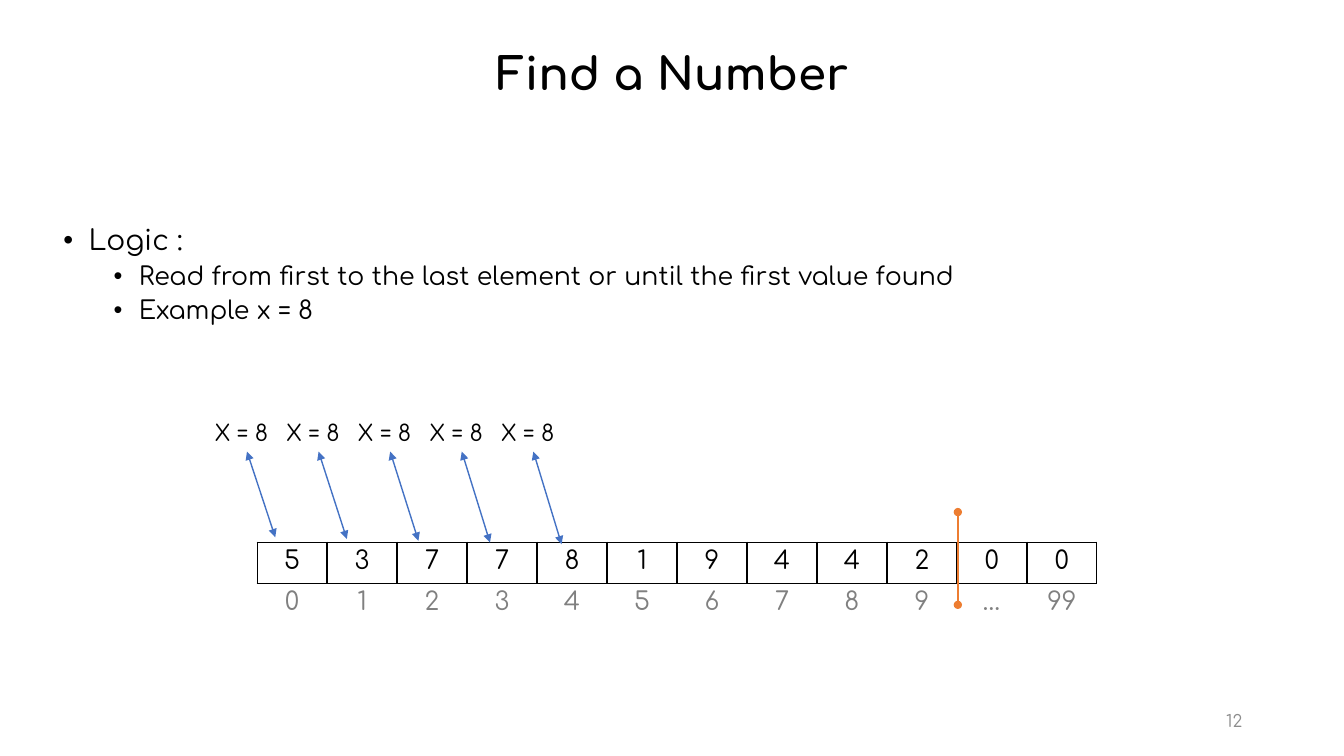
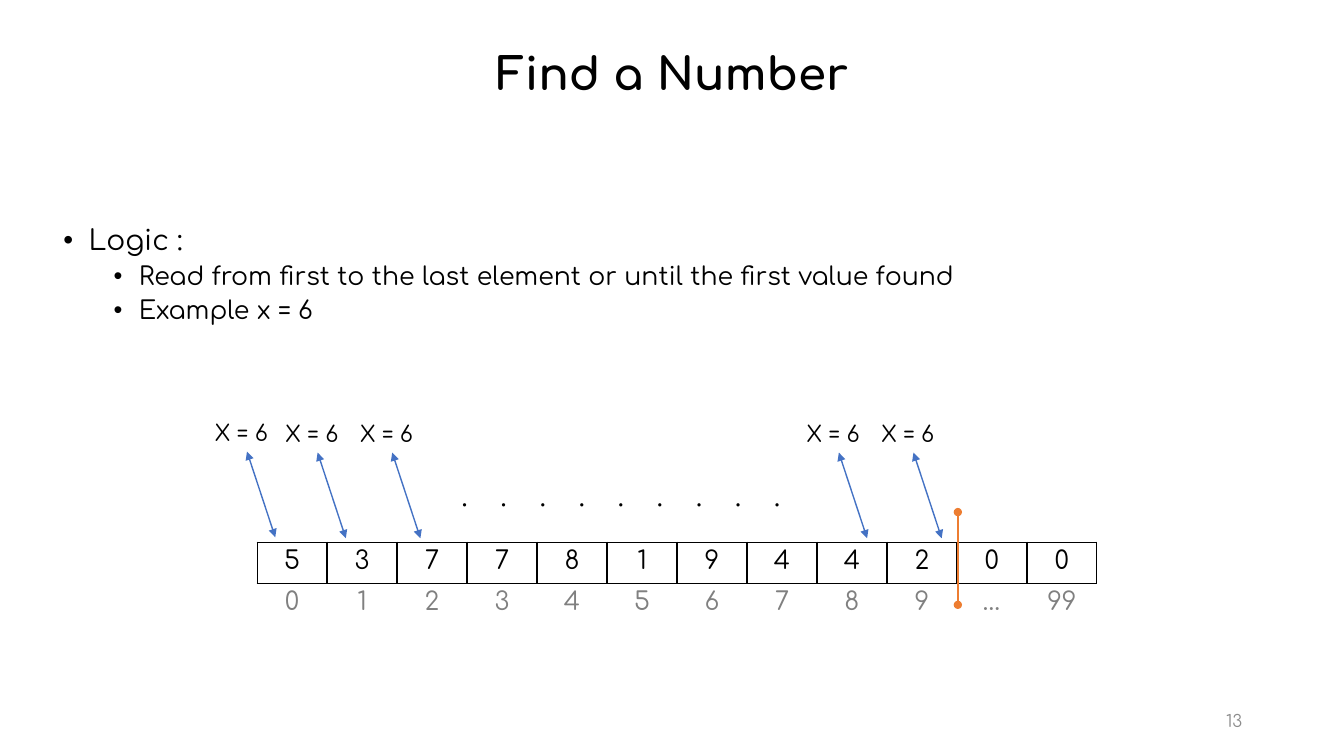
from lxml.etree import SubElement
from pptx import Presentation
from pptx.dml.color import RGBColor
from pptx.enum.shapes import MSO_CONNECTOR
from pptx.enum.text import MSO_ANCHOR, MSO_AUTO_SIZE, PP_ALIGN
from pptx.oxml.ns import qn
from pptx.util import Inches, Pt

FONT = "Comfortaa"
BLACK = RGBColor(0x00, 0x00, 0x00)
GRAY = RGBColor(0x80, 0x80, 0x80)
PAGE_GRAY = RGBColor(0x8C, 0x8C, 0x8C)
BLUE = RGBColor(0x44, 0x72, 0xC4)
ORANGE = RGBColor(0xED, 0x7D, 0x31)

TITLE = "Find a Number"
LOGIC = "Logic :"
STEP = "Read from first to the last element or until the first value found"
VALUES = ["5", "3", "7", "7", "8", "1", "9", "4", "4", "2", "0", "0"]
INDEXES = ["0", "1", "2", "3", "4", "5", "6", "7", "8", "9", "…", "99"]
SLIDES = [
    {"page": "12", "target": 8, "dots": 0,
     "probes": [(2.03 + 0.71 * i, 4.11, 5.33 + 0.07 * i / 4) for i in range(5)]},
    {"page": "13", "target": 6, "dots": 9,
     "probes": [(2.03, 4.11, 5.33)] + [(x, 4.12, 5.34) for x in (2.73, 3.47, 7.9, 8.64)]},
]
TABLE_LEFT, TABLE_TOP, TABLE_WIDTH, ROW_HEIGHT = 2.55, 5.38, 8.33, 0.41
DOT_PITCH = 3.1 / 8


def write(p, text, size=18, color=BLACK, bold=False, align=None,
          line=None, before=None, bullet_at=None, tabs=()):
    p.alignment = align
    if line:
        p.line_spacing = line
    if before:
        p.space_before = Pt(before)
    r = p.add_run()
    r.text = text
    r.font.name, r.font.size, r.font.bold = FONT, Pt(size), bold
    r.font.color.rgb = color
    pPr = p._p.get_or_add_pPr()
    if bullet_at:
        pPr.set("marL", str(Inches(bullet_at)))
        pPr.set("indent", str(Inches(-0.25)))
        SubElement(pPr, qn("a:buFont"), typeface="Arial")
        SubElement(pPr, qn("a:buChar"), char="•")
    if tabs:
        stops = SubElement(pPr, qn("a:tabLst"))
        for x in tabs:
            SubElement(stops, qn("a:tab"), pos=str(Inches(x)), algn="l")


def add_box(s, left, top, width, height, wrap=True, anchor=MSO_ANCHOR.TOP):
    tf = s.shapes.add_textbox(*map(Inches, (left, top, width, height))).text_frame
    tf.word_wrap = wrap
    tf.vertical_anchor = anchor
    if not wrap:
        tf.auto_size = MSO_AUTO_SIZE.SHAPE_TO_FIT_TEXT
    return tf


def add_line(s, start, end, color, ends):
    c = s.shapes.add_connector(MSO_CONNECTOR.STRAIGHT, *map(Inches, start + end))
    c.line.color.rgb = color
    c.line.width = Pt(1)
    ln = c.line._get_or_add_ln()
    for tag in ("a:headEnd", "a:tailEnd"):
        SubElement(ln, qn(tag), type=ends)
    SubElement(c._element.spPr, qn("a:effectLst"))


def set_borders(cell, sides):
    tcPr = cell._tc.get_or_add_tcPr()
    for side in "LRTB":
        ln = SubElement(tcPr, qn("a:ln" + side), w=str(Pt(1)))
        if side in sides:
            fill = SubElement(ln, qn("a:solidFill"))
            SubElement(fill, qn("a:srgbClr"), val=str(BLACK))
        else:
            SubElement(ln, qn("a:noFill"))


def add_array(s):
    table = s.shapes.add_table(2, len(VALUES), Inches(TABLE_LEFT), Inches(TABLE_TOP),
                               Inches(TABLE_WIDTH), Inches(2 * ROW_HEIGHT)).table
    table.first_row = table.horz_banding = False
    for row, (texts, color, sides) in enumerate([(VALUES, BLACK, "LRTB"), (INDEXES, GRAY, "T")]):
        for col, text in enumerate(texts):
            cell = table.cell(row, col)
            set_borders(cell, sides)
            cell.fill.background()
            write(cell.text_frame.paragraphs[0], text, color=color, align=PP_ALIGN.CENTER)


def add_slide(prs, page, target, dots, probes):
    s = prs.slides.add_slide(prs.slide_layouts[6])
    tf = add_box(s, 0.53, 2.2, 12.14, 4.4)
    write(tf.paragraphs[0], LOGIC, size=20, line=0.9, before=10, bullet_at=0.25)
    for text in (STEP, f"Example x = {target}"):
        write(tf.add_paragraph(), text, line=0.9, before=5, bullet_at=0.75)

    tf = add_box(s, 9.42, 6.95, 3, 0.4, anchor=MSO_ANCHOR.MIDDLE)
    write(tf.paragraphs[0], page, size=12, color=PAGE_GRAY, align=PP_ALIGN.RIGHT)
    tf = add_box(s, 0.92, 0.4, 11.5, 0.7, anchor=MSO_ANCHOR.MIDDLE)
    write(tf.paragraphs[0], TITLE, size=32, bold=True, align=PP_ALIGN.CENTER, line=0.9)

    add_array(s)
    add_line(s, (9.5, 6), (9.5, 5.08), ORANGE, "oval")
    for left, top, tip in probes:
        tf = add_box(s, left, top, 0.84, 0.37, wrap=False)
        write(tf.paragraphs[0], f"X = {target}", size=16)
        add_line(s, (left + 0.7, tip), (left + 0.42, top + 0.37), BLUE, "triangle")
    if dots:
        tf = add_box(s, 4.48, 4.7, 3.52, 0.44)
        write(tf.paragraphs[0], "\t".join("." * dots), size=20,
              tabs=[DOT_PITCH * i for i in range(1, dots)])


def main():
    prs = Presentation()
    prs.slide_width, prs.slide_height = Inches(13.33), Inches(7.5)
    for content in SLIDES:
        add_slide(prs, **content)
    prs.save("out.pptx")


if __name__ == "__main__":
    main()
